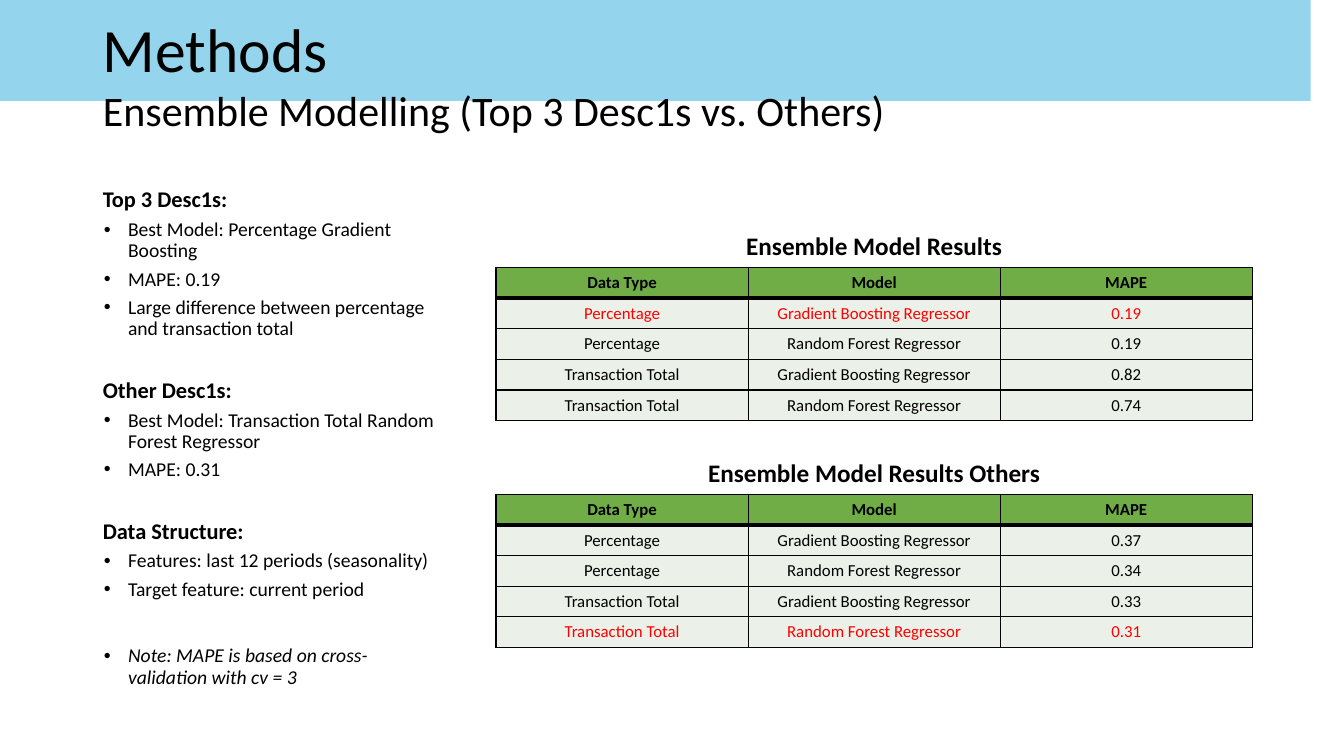
from lxml import etree
from pptx import Presentation
from pptx.dml.color import RGBColor
from pptx.enum.text import MSO_ANCHOR, MSO_AUTO_SIZE, PP_ALIGN
from pptx.oxml.ns import qn
from pptx.util import Inches, Pt

LEFT, CENTER = PP_ALIGN.LEFT, PP_ALIGN.CENTER
TOP, MIDDLE = MSO_ANCHOR.TOP, MSO_ANCHOR.MIDDLE
NO_AUTOFIT = MSO_AUTO_SIZE.NONE

FONT = "Calibri"
COLORS = {
    "text": "000000", "highlight": "FF0000", "line": "000000", "page": "FFFFFF",
    "wave": "67C3E6", "header": "70AD47", "row": "EBF1E9",
}
PAGE_WIDTH, PAGE_HEIGHT = 13.33, 7.5
MARGIN = 0.92
CONTENT_WIDTH = 11.5
TABLE_LEFT, TABLE_WIDTH = 4.92, 7.5
TABLE_TOPS = (2.25, 4.5)
TITLE_ROW, DATA_ROW = 0.4, 0.3
CURVE_STEPS = 24

# Heading, space before it in points, bullets
SECTIONS = [
    ("Top 3 Desc1s:", 10, [
        "Best Model: Percentage Gradient Boosting",
        "MAPE: 0.19",
        "Large difference between percentage and transaction total"]),
    ("Other Desc1s:", 28, [
        "Best Model: Transaction Total Random Forest Regressor",
        "MAPE: 0.31"]),
    ("Data Structure:", 28, [
        "Features: last 12 periods (seasonality)",
        "Target feature: current period"]),
]
NOTE = "Note: MAPE is based on cross-validation with cv = 3"

HEADERS = ("Data Type", "Model", "MAPE")
DATA_TYPES = ("Percentage", "Transaction Total")
MODELS = ("Gradient Boosting Regressor", "Random Forest Regressor")
# Title, MAPE by data type and model, index of the best row
RESULTS = [
    ("Ensemble Model Results", ("0.19", "0.19", "0.82", "0.74"), 0),
    ("Ensemble Model Results Others", ("0.37", "0.34", "0.33", "0.31"), 3),
]


def rgb(name):
    return RGBColor.from_string(COLORS[name])


def add_text(para, text, size, color="text", bold=False, italic=False):
    span = para.add_run()
    span.text = text
    font = span.font
    font.name, font.size = FONT, Pt(size)
    font.bold, font.italic = bold, italic
    font.color.rgb = rgb(color)


def format_para(para, space_before, bullet=False):
    """Set spacing and either a hanging bullet or a plain flush line."""
    para.alignment = LEFT
    para.line_spacing = 0.9
    para.space_before, para.space_after = Pt(space_before), Pt(0)
    properties = para._p.get_or_add_pPr()
    properties.set("marL", str(Inches(0.25 if bullet else 0)))
    properties.set("indent", str(Inches(-0.24 if bullet else 0)))
    if bullet:
        etree.SubElement(properties, qn("a:buChar")).set("char", "•")
    else:
        etree.SubElement(properties, qn("a:buNone"))


def place(holder, box, anchor):
    holder.left, holder.top, holder.width, holder.height = map(Inches, box)
    frame = holder.text_frame
    frame.word_wrap = True
    frame.auto_size = NO_AUTOFIT
    frame.vertical_anchor = anchor
    return frame


def curve(start, first, second, end):
    """Points along a cubic curve, without its start."""
    points = []
    for step in range(1, CURVE_STEPS + 1):
        t = step / CURVE_STEPS
        weights = ((1 - t) ** 3, 3 * t * (1 - t) ** 2, 3 * t * t * (1 - t), t ** 3)
        points.append(tuple(
            sum(w * p for w, p in zip(weights, axis))
            for axis in zip(start, first, second, end)))
    return points


def add_wave(slide):
    edge, trough, foot = (13.31, 0.94), (3.52, 1.45), (0.02, 1.4)
    points = [(PAGE_WIDTH, 0), (PAGE_WIDTH, edge[1]), edge]
    points += curve(edge, (11.19, 1.25), (7.6, 1.45), trough)
    points += curve(trough, (2.3, 1.45), (1.13, 1.43), foot)
    points.append((0, foot[1]))
    builder = slide.shapes.build_freeform(0, 0, scale=Inches(1))
    builder.add_line_segments(points, close=True)
    wave = builder.convert_to_shape()
    wave.shadow.inherit = False
    wave.line.fill.background()
    wave.fill.solid()
    wave.fill.fore_color.rgb = rgb("wave")
    tint = wave._element.spPr.find(".//" + qn("a:srgbClr"))
    etree.SubElement(tint, qn("a:alpha")).set("val", "70000")
    # Behind the text
    slide.shapes._spTree.insert(2, wave._element)


def fill_line(holder, box, anchor, text, size):
    para = place(holder, box, anchor).paragraphs[0]
    format_para(para, 0)
    add_text(para, text, size)


def fill_findings(holder, box):
    frame = place(holder, box, MIDDLE)
    for number, (heading, gap, bullets) in enumerate(SECTIONS):
        para = frame.add_paragraph() if number else frame.paragraphs[0]
        format_para(para, gap)
        add_text(para, heading, 16, bold=True)
        for bullet in bullets:
            para = frame.add_paragraph()
            para.level = 1
            format_para(para, 5, bullet=True)
            add_text(para, bullet, 14)
    para = frame.add_paragraph()
    para.level = 1
    format_para(para, 32.5, bullet=True)
    add_text(para, NOTE, 14, italic=True)


def set_borders(cell, sides):
    """sides: colour name and width in points for left, right, top, bottom."""
    properties = cell._tc.get_or_add_tcPr()
    for index, (side, (color, width)) in enumerate(zip("LRTB", sides)):
        line = etree.Element(qn("a:ln" + side), w=str(Pt(width)))
        solid = etree.SubElement(line, qn("a:solidFill"))
        etree.SubElement(solid, qn("a:srgbClr")).set("val", COLORS[color])
        properties.insert(index, line)


def add_results(slide, box, title, scores, best):
    keys = [(kind, model) for kind in DATA_TYPES for model in MODELS]
    rows = [(title, "", ""), HEADERS]
    rows += [(*key, score) for key, score in zip(keys, scores)]
    frame = slide.shapes.add_table(len(rows), len(HEADERS), *map(Inches, box))
    table = frame.table
    table.first_row = table.horz_banding = False
    table.cell(0, 0).merge(table.cell(0, len(HEADERS) - 1))
    thin, thick, blank = ("line", 1), ("line", 3), ("page", 1)
    for number, row in enumerate(rows):
        table.rows[number].height = Inches(DATA_ROW if number else TITLE_ROW)
        for column, text in enumerate(row):
            cell = table.cell(number, column)
            if number == 0:
                cell.fill.background()
                sides = (blank, blank, blank, thin)
            else:
                cell.fill.solid()
                cell.fill.fore_color.rgb = rgb("header" if number == 1 else "row")
                sides = (thin, thin, thick if number == 2 else thin,
                         thick if number == 1 else thin)
            set_borders(cell, sides)
            if text:
                para = cell.text_frame.paragraphs[0]
                para.alignment = CENTER
                color = "highlight" if number == best + 2 else "text"
                add_text(para, text, 12 if number else 18, color, bold=number < 2)


def main():
    deck = Presentation()
    deck.slide_width, deck.slide_height = Inches(PAGE_WIDTH), Inches(PAGE_HEIGHT)
    # Two-content layout: title, subtitle line, findings
    slide = deck.slides.add_slide(deck.slide_layouts[3])
    title, subtitle, findings = slide.placeholders
    add_wave(slide)
    fill_line(title, (MARGIN, 0.18, CONTENT_WIDTH, 0.68), MIDDLE, "Methods", 44)
    fill_line(subtitle, (MARGIN, 0.85, CONTENT_WIDTH, 0.51), TOP,
              "Ensemble Modelling (Top 3 Desc1s vs. Others)", 30)
    fill_findings(findings, (MARGIN, 1.57, 3.5, 5.56))
    height = TITLE_ROW + DATA_ROW * 5
    for top, result in zip(TABLE_TOPS, RESULTS):
        add_results(slide, (TABLE_LEFT, top, TABLE_WIDTH, height), *result)
    deck.save("out.pptx")


if __name__ == "__main__":
    main()
